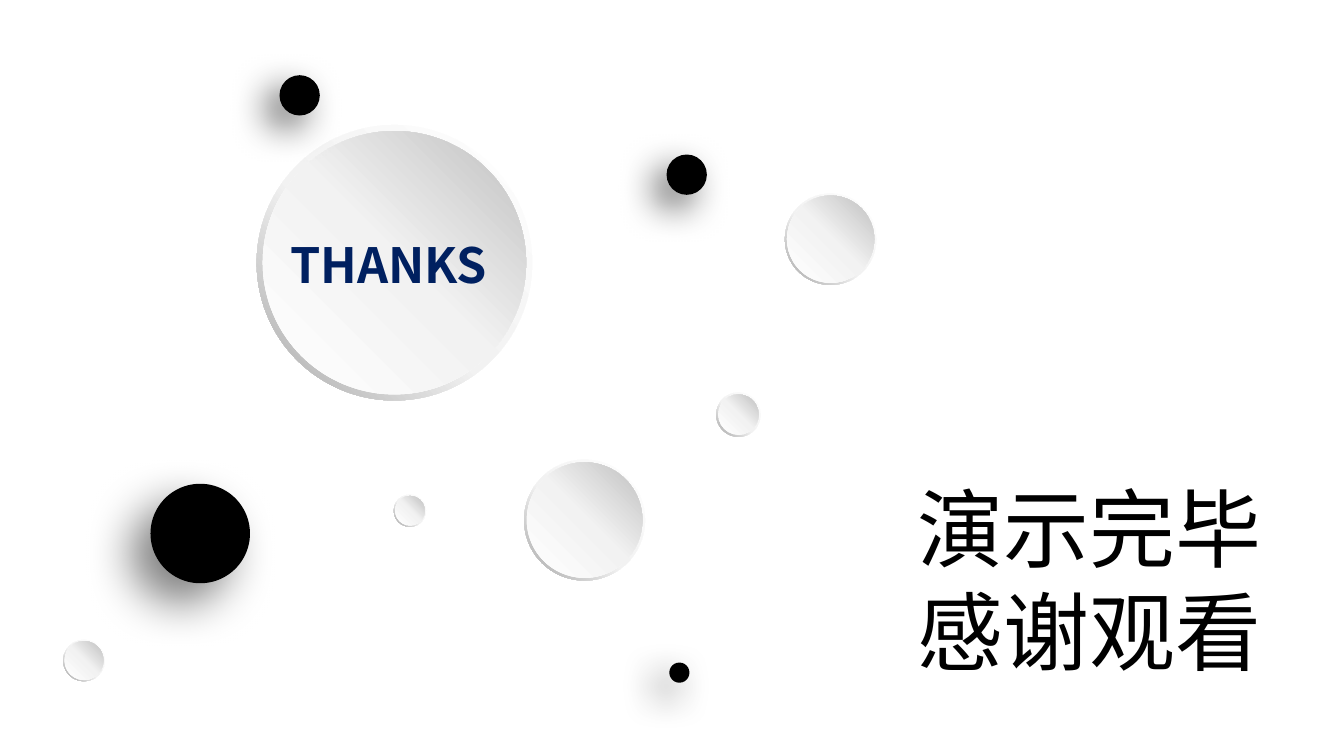
from pptx import Presentation
from pptx.dml.color import RGBColor
from pptx.enum.shapes import MSO_SHAPE
from pptx.enum.text import MSO_ANCHOR, MSO_AUTO_SIZE, PP_ALIGN
from pptx.oxml import parse_xml
from pptx.oxml.ns import nsdecls, qn
from pptx.util import Inches, Pt

OVAL, RING = MSO_SHAPE.OVAL, MSO_SHAPE.DONUT
LEFT, TOP = PP_ALIGN.LEFT, MSO_ANCHOR.TOP
NONE = MSO_AUTO_SIZE.NONE
BLACK = RGBColor(0, 0, 0)
NAVY = RGBColor(0x00, 0x20, 0x60)
WHITE = RGBColor(0xFF, 0xFF, 0xFF)
PALE = RGBColor(0xF2, 0xF2, 0xF2)
GREY = RGBColor(0xA6, 0xA6, 0xA6)
SILVER = RGBColor(0xBF, 0xBF, 0xBF)
FONT = "Noto Sans CJK SC"


def add_disc(home, kind, x, y, size, stops=None, angle=0, shade=None):
    disc = home.add_shape(kind, Inches(x), Inches(y), Inches(size), Inches(size))
    disc.shadow.inherit = False
    disc.line.fill.background()
    props = disc._element.spPr
    if stops:
        disc.fill.gradient()
        disc.fill.gradient_angle = angle
        marks = "".join(
            f'<a:gs pos="{pos * 1000}"><a:srgbClr val="{tone}"/></a:gs>'
            for pos, tone in stops)
        old = props.find(qn("a:gradFill")).find(qn("a:gsLst"))
        new = parse_xml(f'<a:gsLst {nsdecls("a")}>{marks}</a:gsLst>')
        old.getparent().replace(old, new)
    else:
        disc.fill.solid()
        disc.fill.fore_color.rgb = BLACK
    if shade:
        alpha, blur, dist = shade
        props.find(qn("a:effectLst")).append(parse_xml(
            f'<a:outerShdw {nsdecls("a")} blurRad="{Pt(blur)}" dist="{Pt(dist)}" '
            f'dir="8100000" algn="tr" rotWithShape="0"><a:srgbClr val="{BLACK}">'
            f'<a:alpha val="{alpha * 1000}"/></a:srgbClr></a:outerShdw>'))
    return disc


def set_text(box, text, x, y, w, h, size, color, bold=False):
    box.left, box.top, box.width, box.height = map(Inches, (x, y, w, h))
    frame = box.text_frame
    frame.text = text
    frame.word_wrap = False
    frame.auto_size = NONE
    frame.vertical_anchor = TOP
    for para in frame.paragraphs:
        para.alignment = LEFT
        for run in para.runs:
            font = run.font
            font.name, font.size, font.bold = FONT, Pt(size), bold
            font.color.rgb = color
            run._r.get_or_add_rPr().find(qn("a:latin")).addnext(
                parse_xml(f'<a:ea {nsdecls("a")} typeface="{FONT}"/>'))


deck = Presentation()
deck.slide_width = Inches(10)
deck.slide_height = deck.slide_width * 9 // 16
slide = deck.slides.add_slide(deck.slide_layouts[5])
shapes = slide.shapes

rim = [(0, WHITE), (55, PALE), (100, GREY)]
face = [(0, WHITE), (51, PALE), (100, SILVER)]
plates = [
    (1.91, 0.93, 2.05, 1.96), (5.33, 2.92, 0.33, 0.3),
    (5.84, 1.44, 0.68, 0.65), (2.93, 3.68, 0.24, 0.22),
    (0.47, 4.76, 0.31, 0.29), (3.9, 3.42, 0.9, 0.86),
]
for x, y, outer, inner in plates:
    group = shapes.add_group_shape().shapes
    ring = add_disc(group, RING, x, y, outer, rim, 225)
    ring.adjustments[0] = 0.049
    gap = (outer - inner) / 2
    add_disc(group, OVAL, x + gap, y + gap, inner, face, 45)

soft, firm = (50, 25, 15), (60, 20, 10)
dots = [
    (1.12, 3.6, 0.74, soft), (2.08, 0.56, 0.3, firm),
    (4.96, 1.15, 0.3, firm), (4.98, 4.93, 0.15, firm),
]
for x, y, size, shade in dots:
    add_disc(shapes, OVAL, x, y, size, shade=shade)

label = shapes.add_textbox(0, 0, 0, 0)
set_text(label, "THANKS", 2.06, 1.7, 1.78, 0.54, 26, NAVY, bold=True)
set_text(shapes.title, "演示完毕\n感谢观看", 6.73, 3.49, 2.78, 1.65, 46, BLACK)

deck.save("out.pptx")
